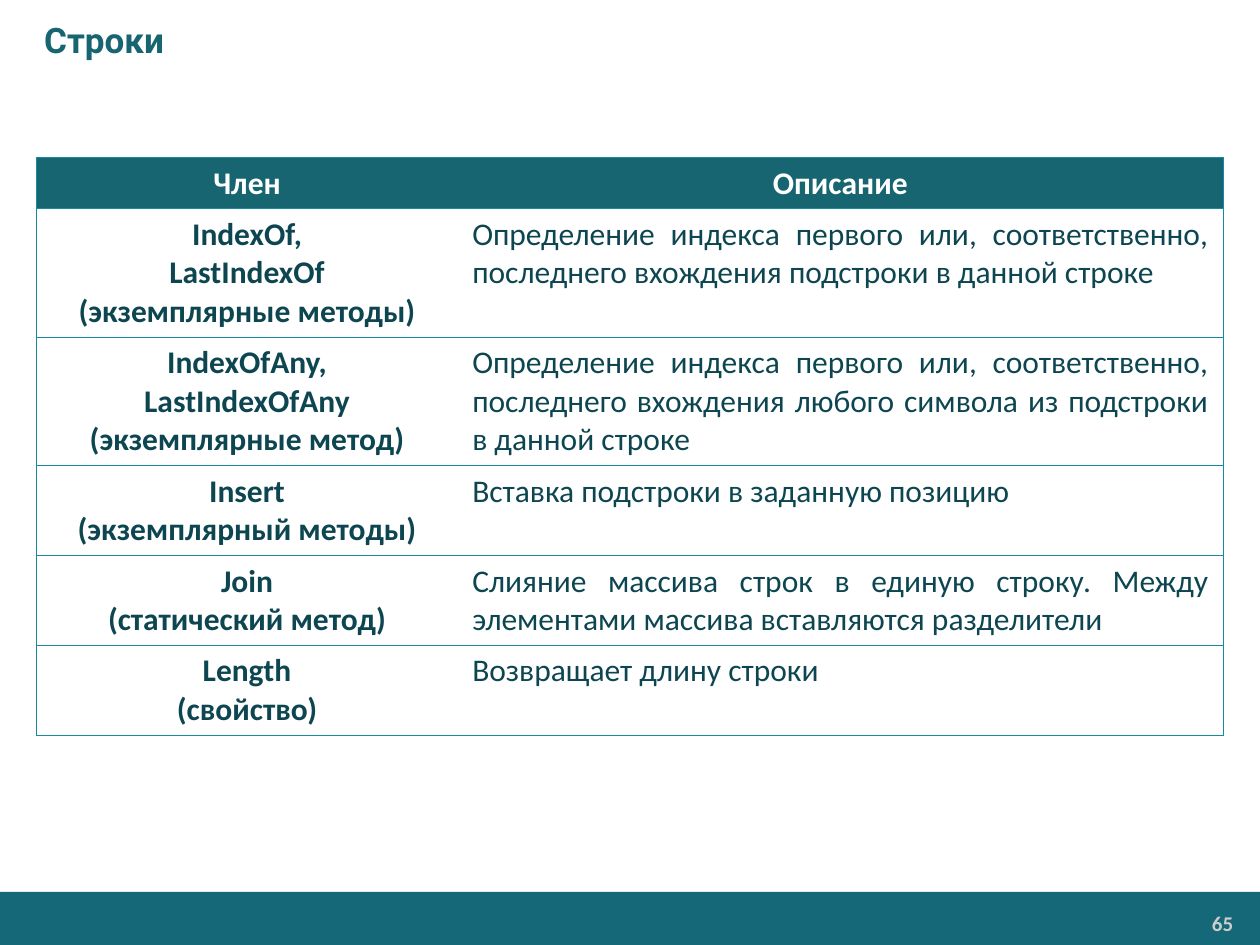
"""Builds the slide with a table of string members."""
from lxml import etree
from pptx import Presentation
from pptx.dml.color import RGBColor
from pptx.enum.shapes import MSO_SHAPE
from pptx.enum.text import MSO_ANCHOR, PP_ALIGN
from pptx.oxml.ns import qn
from pptx.util import Cm, Pt

CENTER, JUSTIFY, LEFT, RIGHT = PP_ALIGN.CENTER, PP_ALIGN.JUSTIFY, PP_ALIGN.LEFT, PP_ALIGN.RIGHT
MIDDLE = MSO_ANCHOR.MIDDLE
RECTANGLE = MSO_SHAPE.RECTANGLE

TEAL = RGBColor(0x17, 0x65, 0x71)
BAR_TEAL = RGBColor(0x14, 0x68, 0x78)
BORDER_TEAL = RGBColor(0x17, 0x8A, 0xA0)
DARK_TEAL = RGBColor(0x0D, 0x46, 0x50)
GREY = RGBColor(0xCC, 0xCC, 0xCC)
WHITE = RGBColor(0xFF, 0xFF, 0xFF)

TITLE = "Строки"
PAGE_NUMBER = "65"
HEADER = ("Член", "Описание")
MEMBERS = [
    ("IndexOf,\nLastIndexOf\n(экземплярные методы)",
     "Определение индекса первого или, соответственно, последнего вхождения подстроки в данной строке"),
    ("IndexOfAny,\nLastIndexOfAny\n(экземплярные метод)",
     "Определение индекса первого или, соответственно, последнего вхождения любого символа "
     "из подстроки в данной строке"),
    ("Insert\n(экземплярный методы)", "Вставка подстроки в заданную позицию"),
    ("Join\n(статический метод)",
     "Слияние массива строк в единую строку. Между элементами массива вставляются разделители"),
    ("Length\n(свойство)", "Возвращает длину строки"),
]

SLIDE_WIDTH, SLIDE_HEIGHT = 25.4, 19.05
BAR_HEIGHT = 1.07
TABLE_LEFT, TABLE_TOP = 0.74, 3.18
COLUMN_WIDTHS = (8.48, 15.44)
LINE_HEIGHT, ROW_PADDING = 0.78, 0.25


def style_text(frame, font_name, size, color, bold, alignment):
    for paragraph in frame.paragraphs:
        paragraph.alignment = alignment
        font = paragraph.font
        font.name, font.size, font.bold = font_name, Pt(size), bold
        font.color.rgb = color


def set_borders(cell, visible_edges):
    properties = cell._tc.get_or_add_tcPr()
    for edge in "LRTB":
        line = etree.SubElement(properties, qn(f"a:ln{edge}"), w=str(Pt(0.75)))
        if edge in visible_edges:
            fill = etree.SubElement(line, qn("a:solidFill"))
            etree.SubElement(fill, qn("a:srgbClr"), val=str(BORDER_TEAL))
        else:
            etree.SubElement(line, qn("a:noFill"))


def add_footer(slide):
    bar = slide.shapes.add_shape(
        RECTANGLE, 0, Cm(SLIDE_HEIGHT - BAR_HEIGHT), Cm(SLIDE_WIDTH), Cm(BAR_HEIGHT))
    bar.shadow.inherit = False
    bar.fill.solid()
    bar.fill.fore_color.rgb = BAR_TEAL
    bar.line.fill.background()

    number = slide.shapes.add_textbox(Cm(20.9), Cm(18.26), Cm(4.14), Cm(0.71)).text_frame
    number.word_wrap = True
    number.margin_left = number.margin_right = Cm(0.18)
    number.margin_top = number.margin_bottom = Cm(0.1)
    number.text = PAGE_NUMBER
    style_text(number, "Calibri", 12, GREY, True, RIGHT)


def add_title(slide):
    title = slide.shapes.title
    title.left, title.top, title.width, title.height = 0, 0, Cm(SLIDE_WIDTH), Cm(1.6)
    frame = title.text_frame
    frame.text = TITLE
    frame.vertical_anchor = MIDDLE
    frame.margin_left = Cm(0.89)
    style_text(frame, "Roboto", 20, TEAL, True, LEFT)


def add_member_table(slide):
    rows = [HEADER, *MEMBERS]
    heights = [Cm(ROW_PADDING + LINE_HEIGHT * len(member.split("\n"))) for member, _ in rows]
    table = slide.shapes.add_table(
        len(rows), len(HEADER), Cm(TABLE_LEFT), Cm(TABLE_TOP),
        Cm(sum(COLUMN_WIDTHS)), sum(heights)).table
    table.horz_banding = False
    for column, width in zip(table.columns, COLUMN_WIDTHS):
        column.width = Cm(width)
    for row_index, (texts, height) in enumerate(zip(rows, heights)):
        is_header = row_index == 0
        table.rows[row_index].height = height
        for column_index, text in enumerate(texts):
            is_member = column_index == 0
            cell = table.cell(row_index, column_index)
            cell.text = text
            cell.margin_left = cell.margin_right = Cm(0.3)
            cell.margin_top = cell.margin_bottom = Cm(0.13)
            set_borders(cell, "LTB" if is_member else "RTB")
            if is_header:
                cell.fill.solid()
                cell.fill.fore_color.rgb = TEAL
            else:
                cell.fill.background()
            style_text(cell.text_frame, "Calibri", 18, WHITE if is_header else DARK_TEAL,
                       is_header or is_member, CENTER if is_header or is_member else JUSTIFY)


def main():
    presentation = Presentation()
    presentation.slide_width, presentation.slide_height = Cm(SLIDE_WIDTH), Cm(SLIDE_HEIGHT)
    slide = presentation.slides.add_slide(presentation.slide_layouts[5])
    add_footer(slide)
    add_title(slide)
    add_member_table(slide)
    presentation.save("out.pptx")


if __name__ == "__main__":
    main()
